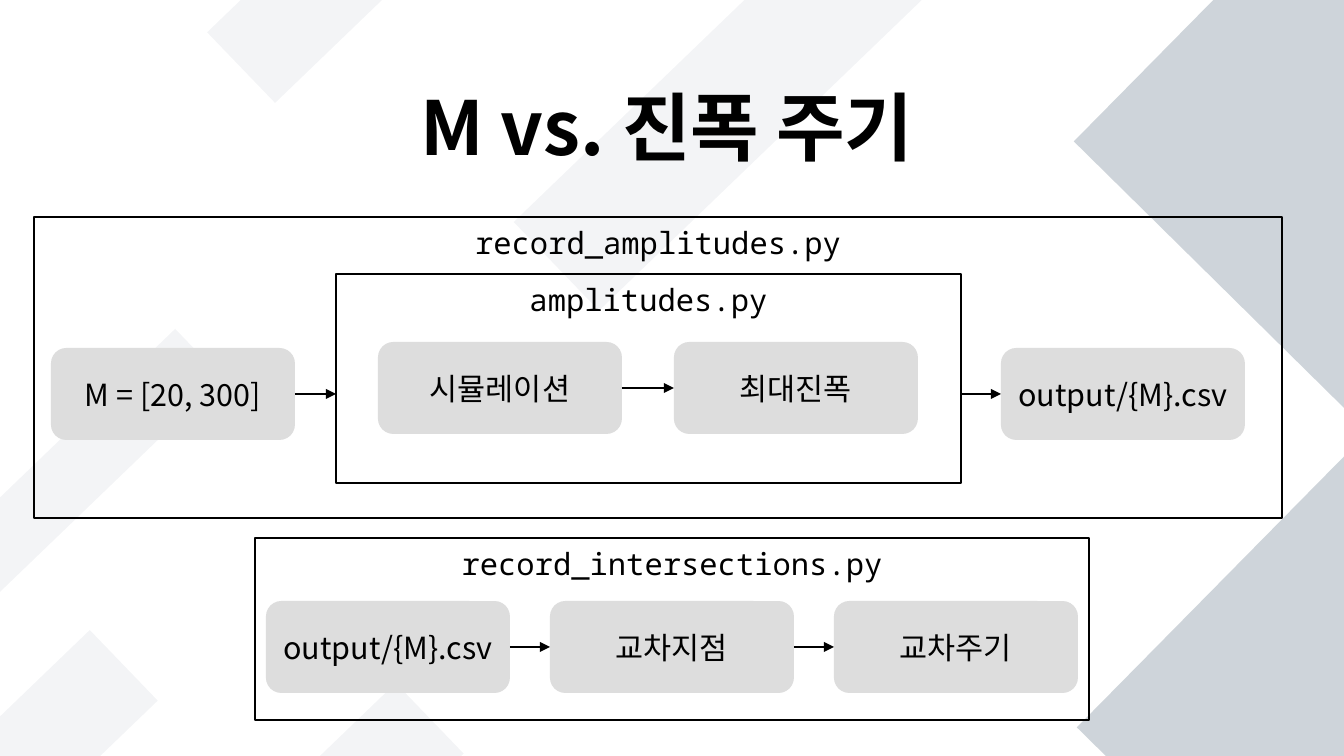
from lxml.etree import SubElement
from pptx import Presentation
from pptx.dml.color import RGBColor
from pptx.enum.shapes import MSO_CONNECTOR, MSO_SHAPE
from pptx.enum.text import MSO_ANCHOR, PP_ALIGN
from pptx.oxml.ns import qn
from pptx.util import Emu, Pt

PX = 914400 / 122
BLACK = RGBColor(0x00, 0x00, 0x00)
BOX_GRAY = RGBColor(0xDD, 0xDD, 0xDD)
DIAMOND_GRAY = RGBColor(0xCE, 0xD4, 0xDA)
BAND_BLUE = RGBColor(0x8D, 0x99, 0xAE)
SANS = "Noto Sans CJK KR"
MONO = "Noto Sans Mono"
BOX_WIDTH, BOX_HEIGHT = 244, 92
LEFT_SIDE, RIGHT_SIDE = 1, 3


def px(*lengths):
    return [Emu(round(length * PX)) for length in lengths]


def write(shape, text, font, anchor, margins, size=18, bold=False):
    """Put one centred line of text into a shape."""
    frame = shape.text_frame
    sides = ("margin_left", "margin_top", "margin_right", "margin_bottom")
    formats = dict(zip(sides, px(*margins * 2)), vertical_anchor=anchor, word_wrap=False)
    for name, value in formats.items():
        setattr(frame, name, value)
    para = frame.paragraphs[0]
    para.alignment = PP_ALIGN.CENTER
    span = para.add_run()
    span.text = text
    for name, value in {"name": font, "size": Pt(size), "bold": bold}.items():
        setattr(span.font, name, value)
    span.font.color.rgb = BLACK
    SubElement(span.font._element, qn("a:ea"), typeface=SANS)


deck = Presentation()
deck.slide_width, deck.slide_height = px(1344, 756)
page = deck.slides.add_slide(deck.slide_layouts[6])
shapes = page.shapes

# Background: two diamonds and five faint diagonal bands
backdrop = [
    (1154, -54, 387, 387, 314.6, DIAMOND_GRAY),
    (1157, 532, 387, 387, 314.6, DIAMOND_GRAY),
    (133, 789, 345, 98, 316.1, BAND_BLUE),
    (-173, 736, 345, 98, 316.1, BAND_BLUE),
    (492, 45, 461, 123, 316.1, BAND_BLUE),
    (193, -101, 345, 98, 316.1, BAND_BLUE),
    (-98, 439, 345, 68, 316.1, BAND_BLUE),
]
for left, top, width, height, angle, color in backdrop:
    band = shapes.add_shape(MSO_SHAPE.RECTANGLE, *px(left, top, width, height))
    band.shadow.inherit = False
    band.rotation = angle
    band.line.fill.background()
    band.fill.solid()
    band.fill.fore_color.rgb = color
    if color == BAND_BLUE:
        tint = band._element.spPr.find(qn("a:solidFill")).find(qn("a:srgbClr"))
        SubElement(tint, qn("a:alpha"), val="10000")

title = shapes.add_textbox(*px(62, 62, 1210, 127))
write(title, "M vs. 진폭 주기", SANS, MSO_ANCHOR.MIDDLE, (0, 0), size=44, bold=True)

# Script frames
frames = [
    ("record_amplitudes.py", 34, 217, 1248, 301),
    ("amplitudes.py", 336, 274, 625, 209),
    ("record_intersections.py", 255, 538, 834, 182),
]
for script_name, *place in frames:
    frame = shapes.add_shape(MSO_SHAPE.RECTANGLE, *px(*place))
    frame.shadow.inherit = False
    frame.fill.background()
    frame.line.color.rgb = BLACK
    frame.line.width = Pt(1)
    write(frame, script_name, MONO, MSO_ANCHOR.TOP, (13, 7))

# Step boxes
steps = {
    "range": ("M = [20, 300]", SANS, 51, 348),
    "simulation": ("시뮬레이션", MONO, 378, 342),
    "maximum": ("최대진폭", MONO, 674, 342),
    "output": ("output/{M}.csv", SANS, 1001, 348),
}
lower_steps = {"input": "output/{M}.csv", "crossing": "교차지점", "period": "교차주기"}
for column, (key, label) in enumerate(lower_steps.items()):
    steps[key] = (label, SANS, 266 + 284 * column, 601)

boxes = {}
for key, (label, font, left, top) in steps.items():
    box = shapes.add_shape(MSO_SHAPE.ROUNDED_RECTANGLE, *px(left, top, BOX_WIDTH, BOX_HEIGHT))
    box.shadow.inherit = False
    box.adjustments[0] = 0.167
    box.fill.solid()
    box.fill.fore_color.rgb = BOX_GRAY
    box.line.fill.background()
    write(box, label, font, MSO_ANCHOR.MIDDLE, (12, 6))
    boxes[key] = box

# Arrows: start box, end box, and the points used where an arrow meets a frame
arrows = [
    ("range", None, 295, 336, 394),
    ("simulation", "maximum", 622, 674, 388),
    (None, "output", 961, 1001, 394),
    ("input", "crossing", 510, 550, 647),
    ("crossing", "period", 794, 834, 647),
]
for start, end, start_x, end_x, y in arrows:
    arrow = shapes.add_connector(MSO_CONNECTOR.STRAIGHT, *px(start_x, y, end_x, y))
    if start:
        arrow.begin_connect(boxes[start], RIGHT_SIDE)
    if end:
        arrow.end_connect(boxes[end], LEFT_SIDE)
    arrow.line.color.rgb = BLACK
    arrow.line.width = Pt(1)
    SubElement(arrow.line._get_or_add_ln(), qn("a:tailEnd"), type="triangle")
    SubElement(arrow._element.spPr, qn("a:effectLst"))

deck.save("out.pptx")
